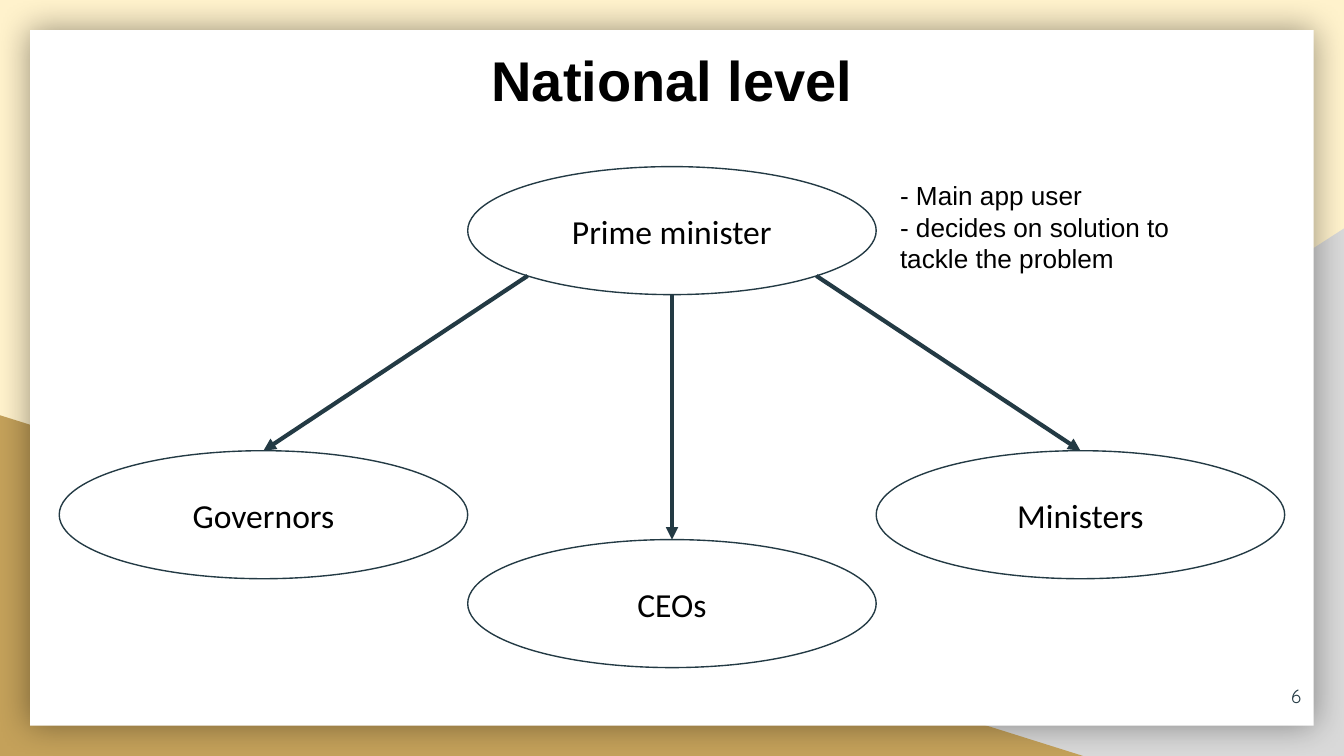
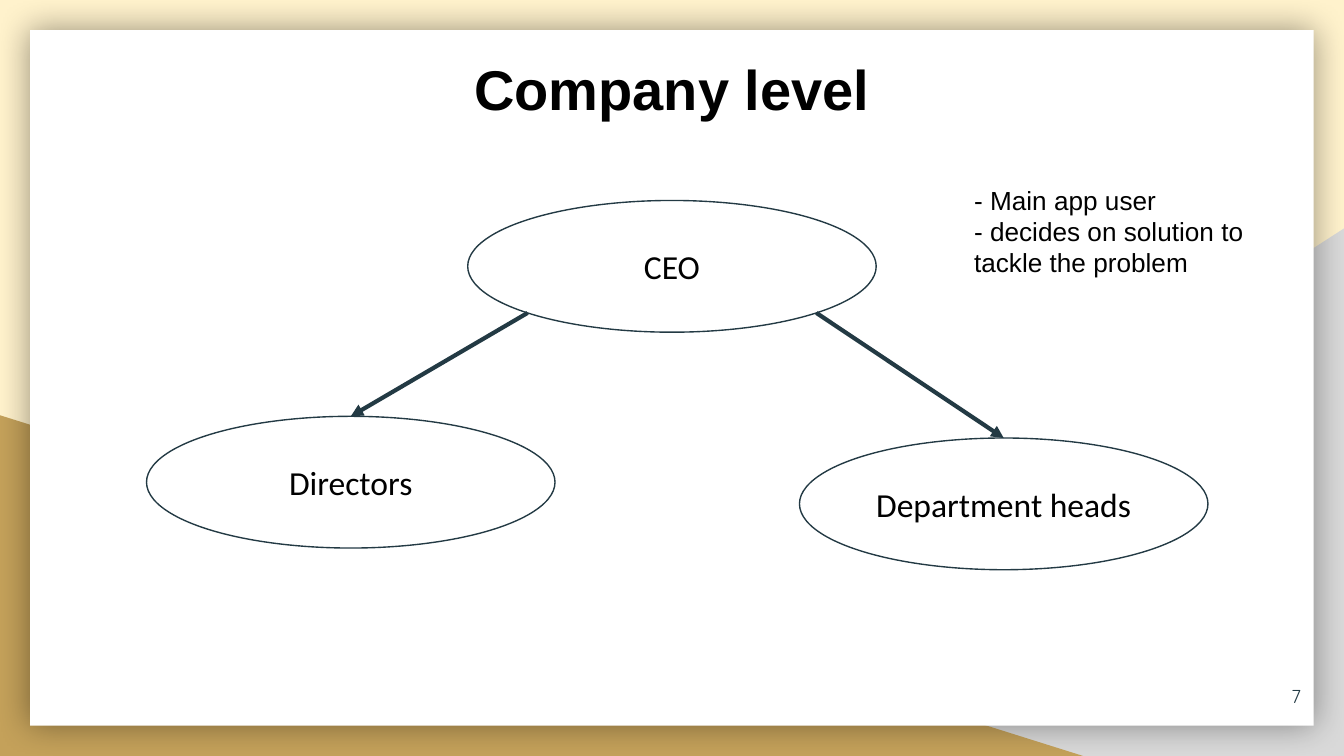
import math
from dataclasses import dataclass

from pptx import Presentation
from pptx.dml.color import RGBColor
from pptx.enum import shapes, text
from pptx.oxml import parse_xml
from pptx.oxml import ns
from pptx.util import Cm, Pt

COLOURS = {
    "cream": "FFF2CC",
    "grey": "D9D9D9",
    "gold": "C4A15A",
    "white": "FFFFFF",
    "navy": "233A44",
    "black": "000000",
}
PAGE_WIDTH, PAGE_HEIGHT = 25.4, 14.29
PANEL_MARGIN = 0.57
ROLE_WIDTH = 7.72
INSET = 0.25
NOTE = ["- Main app user", "- decides on solution to tackle the problem"]


@dataclass
class Box:
    left: float
    top: float
    width: float
    height: float

    def lengths(self):
        return Cm(self.left), Cm(self.top), Cm(self.width), Cm(self.height)

    def rim(self, degrees):
        angle = math.radians(degrees)
        return (
            Cm(self.left + self.width / 2 * (1 + math.cos(angle))),
            Cm(self.top + self.height / 2 * (1 + math.sin(angle))),
        )


def centred_left(width):
    return (PAGE_WIDTH - width) / 2


def colour(name):
    return RGBColor.from_string(COLOURS[name])


def write(shape, lines, font="Arial", size=14, ink="black", bold=False,
          align=text.PP_ALIGN.LEFT, anchor=text.MSO_ANCHOR.TOP):
    frame = shape.text_frame
    frame.word_wrap = True
    frame.auto_size = text.MSO_AUTO_SIZE.NONE
    frame.vertical_anchor = anchor
    frame.margin_left = frame.margin_right = Cm(INSET)
    frame.margin_top = frame.margin_bottom = Cm(INSET)
    for index, line in enumerate(lines):
        para = frame.paragraphs[0] if index == 0 else frame.add_paragraph()
        para.alignment = align
        span = para.add_run()
        span.text = line
        span.font.name = font
        span.font.size = Pt(size)
        span.font.bold = bold
        span.font.color.rgb = colour(ink)


def add_text(page, box, lines, **style):
    write(page.shapes.add_textbox(*box.lengths()), lines, **style)


def add_filled(page, kind, box, fill, line=None):
    shape = page.shapes.add_shape(kind, *box.lengths())
    shape.shadow.inherit = False
    shape.fill.solid()
    shape.fill.fore_color.rgb = colour(fill)
    if line:
        shape.line.color.rgb = colour(line)
        shape.line.width = Pt(0.75)
    else:
        shape.line.fill.background()
    return shape


def add_backdrop(page, box):
    triangle = shapes.MSO_SHAPE.RIGHT_TRIANGLE
    bottom = box.top + box.height
    right = box.left + box.width
    grey = add_filled(page, triangle, Box(right - 15.44, bottom - 9.97, 15.44, 9.97), "grey")
    grey._element.spPr.get_or_add_xfrm().set("flipH", "1")
    add_filled(page, triangle, Box(box.left, bottom - 6.44, 20.47, 6.44), "gold")
    panel = add_filled(
        page, shapes.MSO_SHAPE.RECTANGLE,
        Box(box.left + PANEL_MARGIN, box.top + PANEL_MARGIN,
            box.width - 2 * PANEL_MARGIN, box.height - 2 * PANEL_MARGIN), "white")
    effects = panel._element.spPr.find(ns.qn("a:effectLst"))
    effects.append(parse_xml(
        f'<a:outerShdw {ns.nsdecls("a")} blurRad="{Pt(18)}" dist="0" algn="ctr" rotWithShape="0">'
        f'<a:srgbClr val="{COLOURS["black"]}"><a:alpha val="40000"/></a:srgbClr></a:outerShdw>'))


def add_title(page, box, title):
    holder = page.shapes.title
    page.shapes._spTree.append(holder._element)
    holder.left, holder.top, holder.width, holder.height = box.lengths()
    write(holder, [title], size=30, bold=True, align=text.PP_ALIGN.CENTER)


def add_role(page, box, name):
    role = add_filled(page, shapes.MSO_SHAPE.OVAL, box, "white", "navy")
    write(role, [name], font="Calibri", size=18,
          align=text.PP_ALIGN.CENTER, anchor=text.MSO_ANCHOR.MIDDLE)
    return role


def add_arrow(page, start, role):
    arrow = page.shapes.add_connector(shapes.MSO_CONNECTOR.STRAIGHT, *start, *start)
    arrow.end_connect(role, 0)
    arrow.line.color.rgb = colour("navy")
    arrow.line.width = Pt(2.25)
    arrow.line._get_or_add_ln().append(
        parse_xml(f'<a:tailEnd {ns.nsdecls("a")} type="triangle"/>'))
    arrow._element.spPr.append(parse_xml(f'<a:effectLst {ns.nsdecls("a")}/>'))


def add_hierarchy(page, box, leader, height, reports):
    leader_box = Box(box.left + (box.width - ROLE_WIDTH) / 2, box.top, ROLE_WIDTH, height)
    add_role(page, leader_box, leader)
    for name, left, drop, degrees in reports:
        role = add_role(page, Box(box.left + left, box.top + drop, ROLE_WIDTH, height), name)
        add_arrow(page, leader_box.rim(degrees), role)


def add_level(deck, number, title, title_top, note_box, tree_top, leader, height, reports):
    page = deck.slides.add_slide(deck.slide_layouts[5])
    add_backdrop(page, Box(0, 0, PAGE_WIDTH, PAGE_HEIGHT))
    add_text(page, Box(23.32, 12.62, 1.52, 1.09), [str(number)], font="Quicksand", size=10,
             ink="navy", align=text.PP_ALIGN.RIGHT, anchor=text.MSO_ANCHOR.MIDDLE)
    tree_width = 3 * ROLE_WIDTH
    add_hierarchy(page, Box(centred_left(tree_width), tree_top, tree_width, 10),
                  leader, height, reports)
    add_text(page, note_box, NOTE)
    add_title(page, Box(centred_left(13.34), title_top, 13.34, 1.91), title)


def main():
    deck = Presentation()
    deck.slide_width, deck.slide_height = Cm(PAGE_WIDTH), Cm(PAGE_HEIGHT)
    backdrop = deck.slide_master.background.fill
    backdrop.solid()
    backdrop.fore_color.rgb = colour("cream")
    add_level(deck, 6, "National level", 0.61, Box(16.76, 3.15, 6.25, 2.16),
              3.15, "Prime minister", 2.42,
              [("Governors", 0, 5.37, 135),
               ("CEOs", ROLE_WIDTH, 7.05, 90),
               ("Ministers", 2 * ROLE_WIDTH, 5.37, 45)])
    add_level(deck, 7, "Company level", 0.79, Box(18.16, 3.23, 6.25, 2.16),
              3.79, "CEO", 2.49,
              [("Directors", 1.65, 4.08, 135),
               ("Department heads", 13.99, 4.49, 45)])
    deck.save("out.pptx")


if __name__ == "__main__":
    main()
